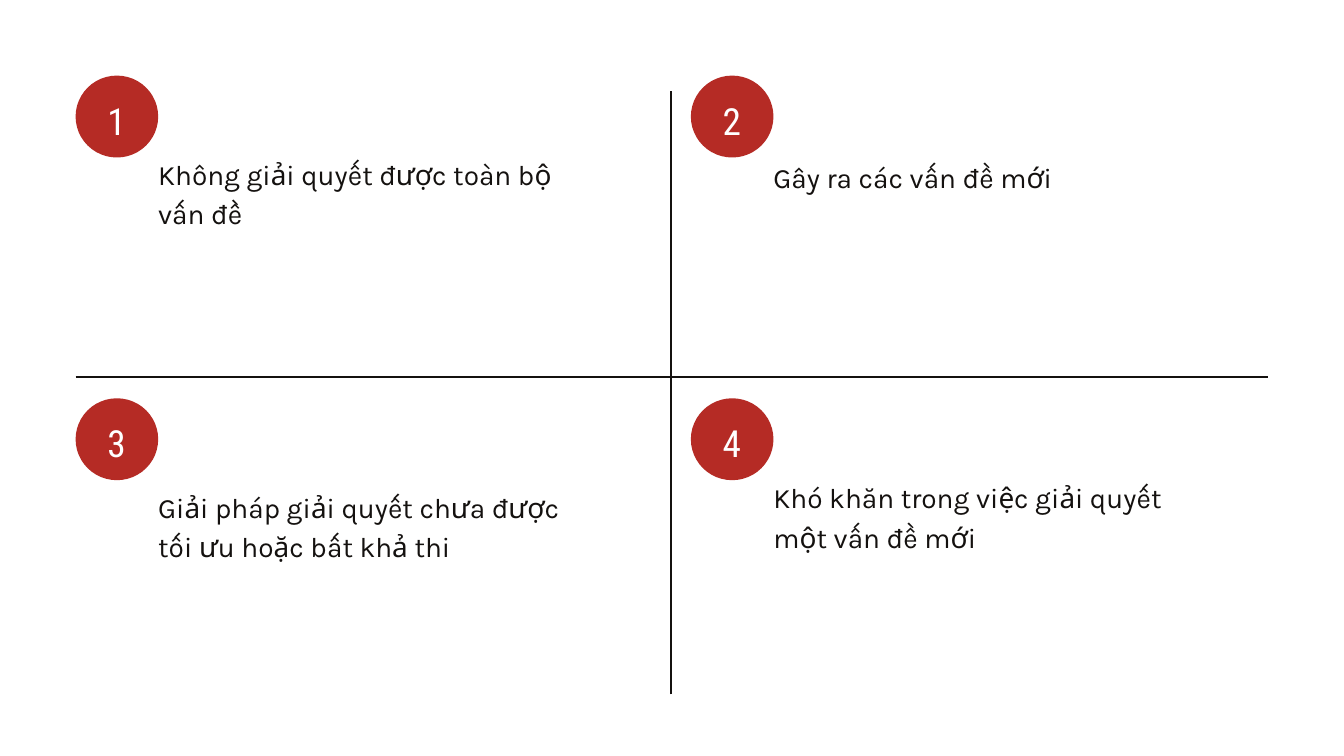
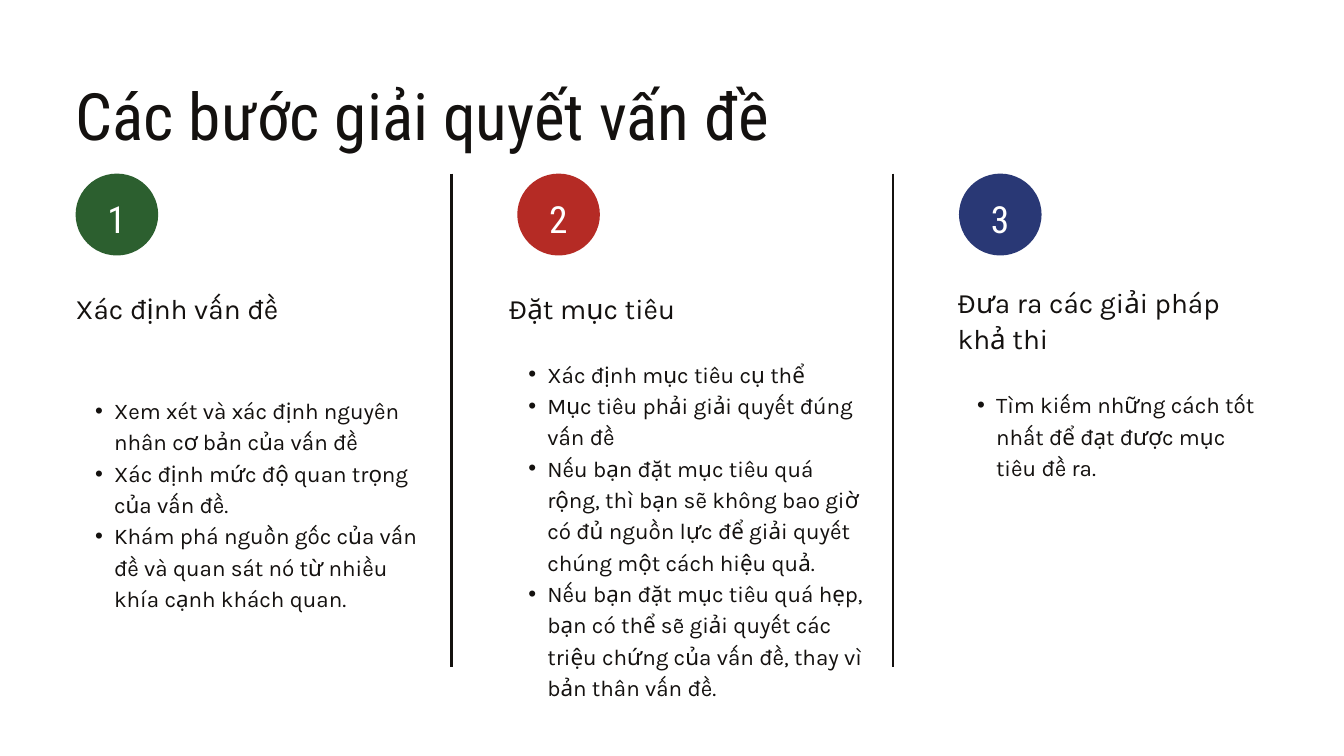
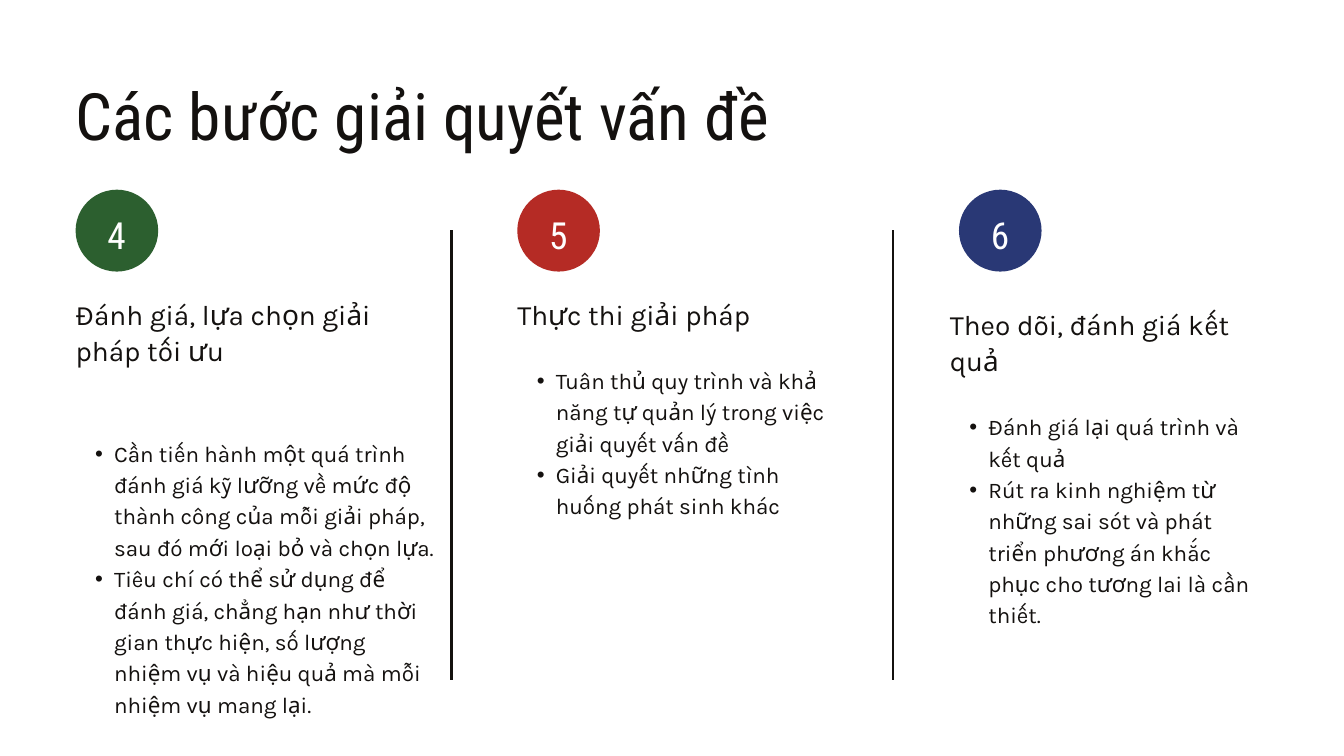
from lxml.etree import SubElement
from pptx import Presentation
from pptx.dml.color import RGBColor
from pptx.enum.shapes import MSO_CONNECTOR, MSO_SHAPE
from pptx.enum.text import MSO_AUTO_SIZE as AutoSize, PP_ALIGN as Align
from pptx.oxml.ns import qn
from pptx.util import Pt

PX = 9525
COLORS = {"ink": "14110F", "white": "FFFFFF", "green": "2C5F2F", "red": "B52B25", "blue": "293875"}
STYLES = {
    "title": {"font": "Roboto Condensed", "size": 70, "spacing": 84, "color": "ink"},
    "badge": {"font": "Roboto Condensed", "size": 40, "spacing": 48, "color": "white",
              "alignment": Align.CENTER},
    "body": {"font": "Karla", "size": 30, "spacing": 42, "color": "ink"},
    "heading": {"font": "Karla", "size": 30, "spacing": 39, "color": "ink"},
    "bullet": {"font": "Karla", "size": 24, "spacing": 33.6, "color": "ink", "level": 1},
}
LEFT, RIGHT = 108, 1812
BADGE_WIDTH, BADGE_HEIGHT = 118, 117
BULLET_INDENT, BULLET_HANGING = 55, 27
COLUMN_PITCH, FIRST_DIVIDER = 631, 645
COLUMN_COLORS = ("green", "red", "blue")

PROBLEMS = [  # text, top of text below its badge row, height
    ("Không giải quyết được toàn bộ vấn đề", 109, 111),
    ("Gây ra các vấn đề mới", 113, 55),
    ("Giải pháp giải quyết chưa được tối ưu hoặc bất khả thi", 124, 111),
    ("Khó khăn trong việc giải quyết một vấn đề mới", 110, 111),
]

# Each column: heading, its (left, top, width, height), bullets, their (top, height)
FIRST_STEPS = [
    ("Xác định vấn đề", (108, 412, 515, 51), [
        "Xem xét và xác định nguyên nhân cơ bản của vấn đề",
        "Xác định mức độ quan trọng của vấn đề.",
        "Khám phá nguồn gốc của vấn đề và quan sát nó từ nhiều khía cạnh khách quan.",
    ], (561, 305)),
    ("Đặt mục tiêu", (727, 412, 507, 51), [
        "Xác định mục tiêu cụ thể",
        "Mục tiêu phải giải quyết đúng vấn đề",
        "Nếu bạn đặt mục tiêu quá rộng, thì bạn sẽ không bao giờ có đủ nguồn lực "
        "để giải quyết chúng một cách hiệu quả.",
        "Nếu bạn đặt mục tiêu quá hẹp, bạn có thể sẽ giải quyết các triệu chứng "
        "của vấn đề, thay vì bản thân vấn đề.",
    ], (509, 481)),
    ("Đưa ra các giải pháp khả thi", (1368, 404, 441, 103), [
        "Tìm kiếm những cách tốt nhất để đạt được mục tiêu đề ra.",
    ], (553, 130)),
]
LAST_STEPS = [
    ("Đánh giá, lựa chọn giải pháp tối ưu", (108, 421, 514, 103), [
        "Cần tiến hành một quá trình đánh giá kỹ lưỡng về mức độ thành công của "
        "mỗi giải pháp, sau đó mới loại bỏ và chọn lựa.",
        "Tiêu chí có thể sử dụng để đánh giá, chẳng hạn như thời gian thực hiện, "
        "số lượng nhiệm vụ và hiệu quả mà mỗi nhiệm vụ mang lại.",
    ], (622, 394)),
    ("Thực thi giải pháp", (739, 421, 444, 51), [
        "Tuân thủ quy trình và khả năng tự quản lý trong việc giải quyết vấn đề",
        "Giải quyết những tình huống phát sinh khác",
    ], (518, 217)),
    ("Theo dõi, đánh giá kết quả", (1357, 435, 441, 103), [
        "Đánh giá lại quá trình và kết quả",
        "Rút ra kinh nghiệm từ những sai sót và phát triển phương án khắc phục "
        "cho tương lai là cần thiết.",
    ], (584, 261)),
]


def color(name):
    return RGBColor.from_string(COLORS[name])


def emu(*lengths):
    return [length * PX for length in lengths]


class Deck:
    """Holds the presentation, its style and the slide being filled."""

    def __init__(self):
        self.presentation = Presentation()
        self.presentation.slide_width, self.presentation.slide_height = emu(1920, 1080)
        self.slide = None

    def new_slide(self):
        self.slide = self.presentation.slides.add_slide(self.presentation.slide_layouts[6])
        fill = self.slide.background.fill
        fill.solid()
        fill.fore_color.rgb = color("white")

    def text(self, box, lines, style_name, shapes=None):
        style = STYLES[style_name]
        frame = (shapes or self.slide.shapes).add_textbox(*emu(*box)).text_frame
        frame_format = {"margin_left": 0, "margin_top": 0, "margin_right": 0, "margin_bottom": 0,
                        "word_wrap": True, "auto_size": AutoSize.SHAPE_TO_FIT_TEXT}
        for name, value in frame_format.items():
            setattr(frame, name, value)
        for index, line in enumerate(lines):
            paragraph = frame.add_paragraph() if index else frame.paragraphs[0]
            paragraph.line_spacing = Pt(style["spacing"])
            for name in ("alignment", "level"):
                if name in style:
                    setattr(paragraph, name, style[name])
            run = paragraph.add_run()
            run.text = line
            run.font.name, run.font.size = style["font"], Pt(style["size"])
            run.font.color.rgb = color(style["color"])
        return frame

    def bullets(self, box, lines):
        for paragraph in self.text(box, lines, "bullet").paragraphs:
            properties = paragraph._p.get_or_add_pPr()
            properties.set("marL", str(BULLET_INDENT * PX))
            properties.set("indent", str(-BULLET_HANGING * PX))
            SubElement(properties, qn("a:buFont")).set("typeface", "Arial")
            SubElement(properties, qn("a:buChar")).set("char", "•")

    def line(self, *ends):
        connector = self.slide.shapes.add_connector(MSO_CONNECTOR.STRAIGHT, *emu(*ends))
        connector.line.color.rgb = color("ink")
        connector.line.width = Pt(2.25)
        SubElement(connector._element.spPr, qn("a:effectLst"))

    def badge(self, left, top, number, fill):
        shapes = self.slide.shapes.add_group_shape().shapes
        circle = shapes.add_shape(MSO_SHAPE.OVAL, *emu(left, top, BADGE_WIDTH, BADGE_HEIGHT))
        circle.shadow.inherit = False
        circle.fill.solid()
        circle.fill.fore_color.rgb = color(fill)
        circle.line.fill.background()
        self.text((left + 16, top + 32, 85, 62), [str(number)], "badge", shapes)


def problems_slide(deck):
    deck.new_slide()
    deck.line(958, 992, 958, 130)
    deck.line(LEFT, 539, RIGHT, 539)
    for index, (text, offset, height) in enumerate(PROBLEMS):
        row, column = divmod(index, 2)
        left, top = LEFT + 879 * column, 108 + 461 * row
        deck.badge(left, top, index + 1, "red")
        deck.text((left + BADGE_WIDTH, top + offset, 616, height), [text], "body")


def steps_slide(deck, steps, first_number, badge_top, divider_top, divider_bottom):
    deck.new_slide()
    deck.text((LEFT, 107, RIGHT - LEFT, 113), ["Các bước giải quyết vấn đề"], "title")
    for index, (heading, box, bullets, (bullets_top, bullets_height)) in enumerate(steps):
        left, _, width, _ = box
        deck.bullets((left, bullets_top, width, bullets_height), bullets)
        deck.text(box, [heading], "heading")
        shift = COLUMN_PITCH * index
        deck.badge(LEFT + shift, badge_top, first_number + index, COLUMN_COLORS[index])
        if index < len(steps) - 1:
            divider = FIRST_DIVIDER + shift
            deck.line(divider, divider_top, divider, divider_bottom)


def main():
    deck = Deck()
    problems_slide(deck)
    steps_slide(deck, FIRST_STEPS, 1, 248, 248, 953)
    steps_slide(deck, LAST_STEPS, 4, 271, 329, 971)
    deck.presentation.save("out.pptx")


if __name__ == "__main__":
    main()
